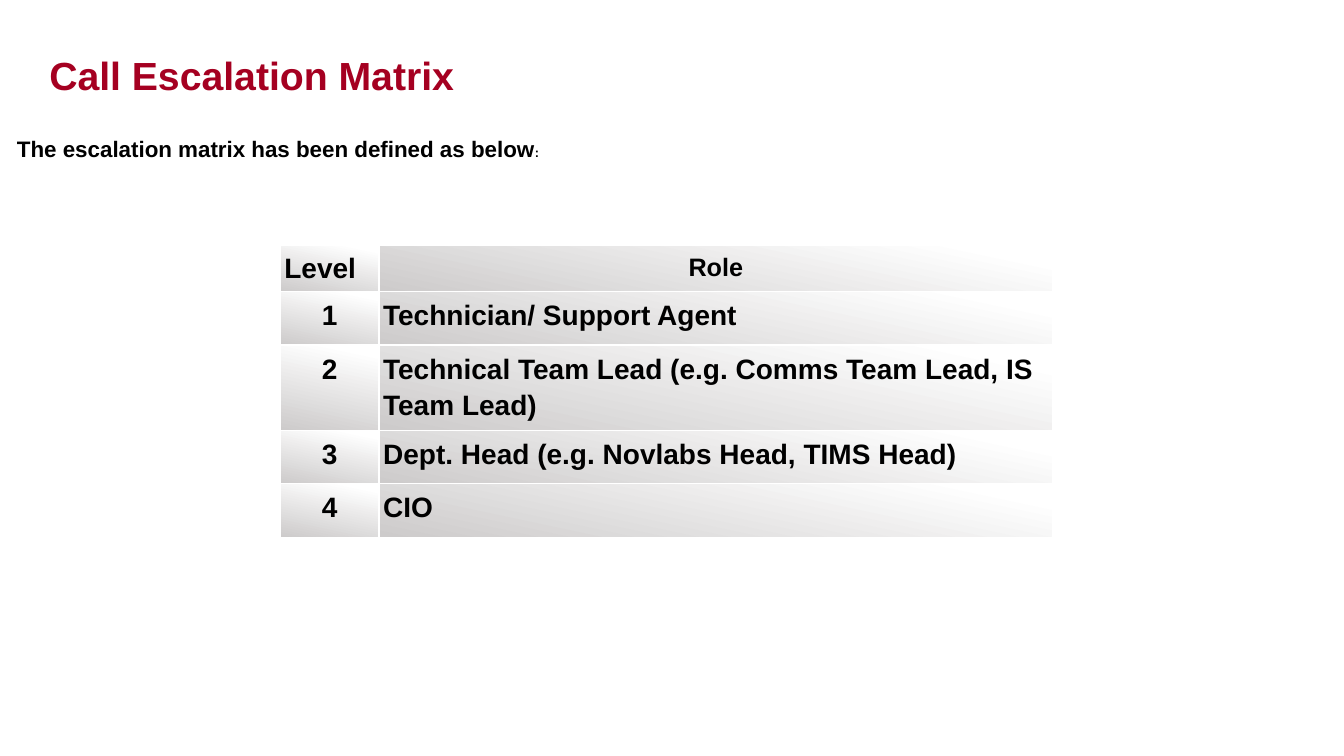
"""Build the call escalation matrix slide."""
from lxml.etree import SubElement
from pptx import Presentation
from pptx.dml.color import RGBColor
from pptx.enum.text import MSO_ANCHOR, PP_ALIGN
from pptx.oxml.ns import qn
from pptx.util import Inches, Pt

RED = RGBColor(0xA5, 0x00, 0x21)
BLACK = RGBColor(0, 0, 0)
WHITE = RGBColor(0xFF, 0xFF, 0xFF)
GRAY = RGBColor(0xCD, 0xCB, 0xCB)


def write(frame, text, size=20, color=BLACK, align=PP_ALIGN.LEFT, space=1.0):
    frame.word_wrap = True
    para = frame.paragraphs[0]
    para.alignment = align
    para.line_spacing = space
    run = para.add_run()
    run.text = text
    run.font.size = Pt(size)
    run.font.bold = True
    run.font.color.rgb = color
    run.font.name = "Arial"
    return run


def style(cell):
    cell.margin_left = cell.margin_right = Inches(0.04)
    cell.margin_top = cell.margin_bottom = Inches(0.04)
    props = cell._tc.get_or_add_tcPr()
    for side in ("a:lnL", "a:lnR", "a:lnT", "a:lnB"):
        line = SubElement(props, qn(side), w=str(Pt(1)))
        paint = SubElement(line, qn("a:solidFill"))
        SubElement(paint, qn("a:srgbClr"), val=str(WHITE))
    cell.fill.gradient()
    cell.fill.gradient_angle = 258
    for stop, place, color in zip(cell.fill.gradient_stops, (0.1, 1), (WHITE, GRAY)):
        stop.position = place
        stop.color.rgb = color


prs = Presentation()
prs.slide_width = Inches(13.33)
prs.slide_height = Inches(7.5)
slide = prs.slides.add_slide(prs.slide_layouts[6])

title = slide.shapes.add_textbox(Inches(0.39), Inches(0.26), Inches(7.82), Inches(0.96))
title.text_frame.vertical_anchor = MSO_ANCHOR.MIDDLE
head = write(title.text_frame, "Call Escalation Matrix", size=28, color=RED, space=1.01)
effects = head.font._element.makeelement(qn("a:effectLst"))
shadow = SubElement(effects, qn("a:outerShdw"), dist="38100", dir="2700000")
SubElement(shadow, qn("a:srgbClr"), val="808080")
head.font._element.find(qn("a:solidFill")).addnext(effects)

rows = [
    ("Level", "Role"),
    ("1", "Technician/ Support Agent"),
    ("2", "Technical Team Lead (e.g. Comms Team Lead, IS Team Lead)"),
    ("3", "Dept. Head (e.g. Novlabs Head, TIMS Head)"),
    ("4", "CIO"),
]
table = slide.shapes.add_table(
    len(rows), 2, Inches(2.78), Inches(2.43), Inches(7.66), Inches(2.72)
).table
for col, width in zip(table.columns, (0.98, 6.68)):
    col.width = Inches(width)
for row, height in zip(table.rows, (0.44, 0.53, 0.69, 0.53, 0.53)):
    row.height = Inches(height)
for r, texts in enumerate(rows):
    for c, text in enumerate(texts):
        cell = table.cell(r, c)
        style(cell)
        mid = (r == 0) == (c == 1)
        write(
            cell.text_frame,
            text,
            size=18 if text == "Role" else 20,
            align=PP_ALIGN.CENTER if mid else PP_ALIGN.LEFT,
            space=1.15,
        )

intro = slide.shapes.add_textbox(Inches(0.07), Inches(1.29), Inches(9.23), Inches(0.37))
intro.text_frame.vertical_anchor = MSO_ANCHOR.MIDDLE
write(intro.text_frame, "The escalation matrix has been defined as below", size=16)
write(intro.text_frame, ":", size=9)

prs.save("out.pptx")
